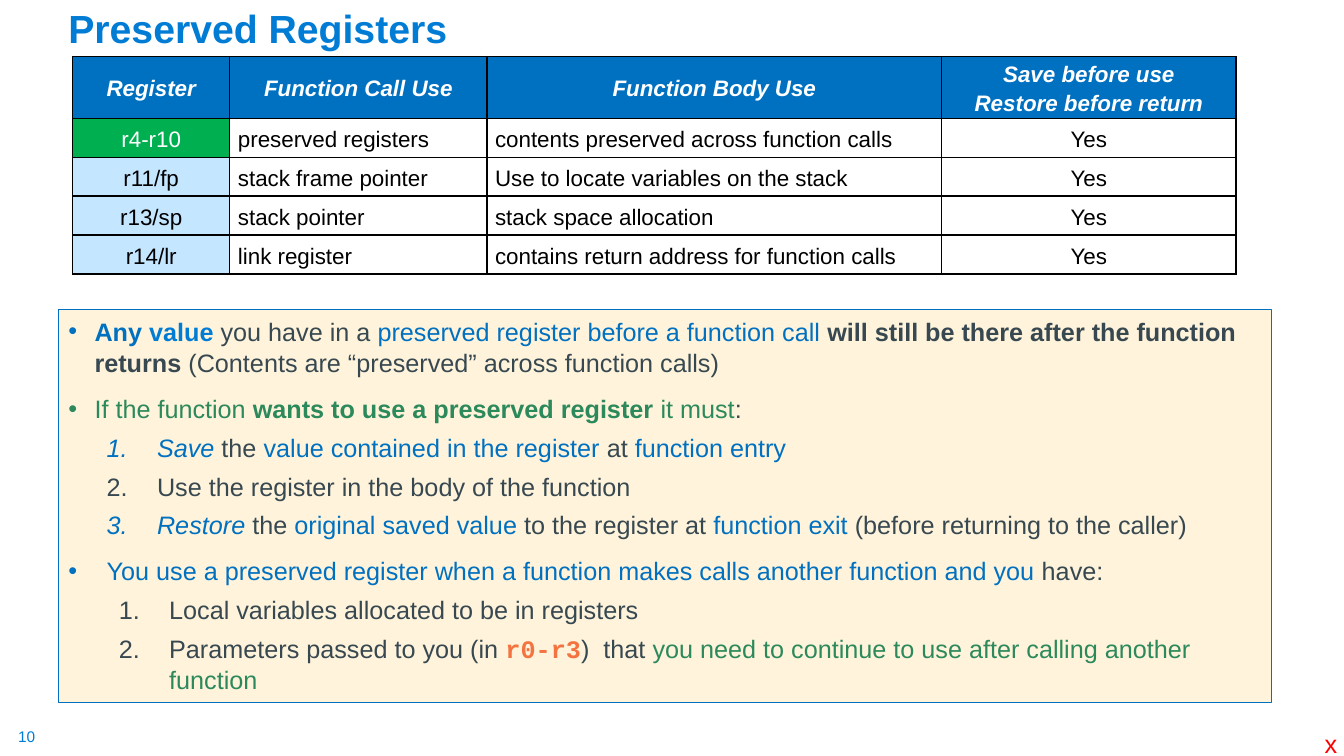
from dataclasses import dataclass

from lxml.etree import SubElement
from pptx import Presentation
from pptx.dml.color import RGBColor
from pptx.enum.shapes import MSO_SHAPE
from pptx.enum.text import MSO_ANCHOR, PP_ALIGN
from pptx.oxml.ns import qn
from pptx.util import Inches, Pt


@dataclass(frozen=True)
class Theme:
    font: str = "Arial"
    code: str = "Courier New"
    sky: str = "007CD5"
    blue: str = "0070C0"
    slate: str = "384851"
    green: str = "2C895B"
    orange: str = "F37440"
    red: str = "FF0000"
    black: str = "000000"
    white: str = "FFFFFF"
    cream: str = "FFF4DB"
    leaf: str = "00B050"
    pale: str = "C4E6FF"
    title: int = 28
    body: int = 18
    cell: int = 16
    page: int = 11


T = Theme()

COLS = [1.56, 2.55, 4.51, 2.92]
HEAD = ["Register", "Function Call Use", "Function Body Use",
        "Save before use\nRestore before return"]
ROWS = [
    ("r4-r10", "preserved registers", "contents preserved across function calls", "Yes"),
    ("r11/fp", "stack frame pointer", "Use to locate variables on the stack", "Yes"),
    ("r13/sp", "stack pointer", "stack space allocation", "Yes"),
    ("r14/lr", "link register", "contains return address for function calls", "Yes"),
]

# Each rule entry: level, left margin, hang, runs of (text, colour, style marks)
RULES = [
    (0, 0.26, 0.26, [
        ("Any ", T.blue, "b"), ("value", T.sky, "b"),
        (" you have in a ", T.slate, ""),
        ("preserved register before a function call ", T.blue, ""),
        ("will still be there after the function returns", T.slate, "b"),
        (" (Contents are “preserved” across function calls)", T.slate, "")]),
    (0, 0.26, 0.26, [
        ("If the function ", T.green, ""),
        ("wants to use a preserved register ", T.green, "b"),
        ("it must", T.green, ""), (":", T.slate, "")]),
    (1, 0.88, 0.5, [
        ("Save", T.blue, "i"), (" the ", T.slate, ""),
        ("value contained in the register ", T.blue, ""),
        ("at ", T.slate, ""), ("function entry", T.blue, "")]),
    (1, 0.88, 0.5, [
        ("Use the register in the body of the function", T.slate, "")]),
    (1, 0.88, 0.5, [
        ("Restore", T.blue, "i"), (" the ", T.slate, ""),
        ("original saved value ", T.blue, ""),
        ("to the register at ", T.slate, ""), ("function exit ", T.blue, ""),
        ("(before returning to the caller)", T.slate, "")]),
    (0, 0.38, 0.38, [
        ("You use a preserved register when a function makes calls "
         "another function and you ", T.blue, ""),
        ("have:", T.slate, "")]),
    (1, 1, 0.5, [("Local variables allocated to be in registers", T.slate, "")]),
    (1, 1, 0.5, [
        ("Parameters passed to you (in ", T.slate, ""),
        ("r0-r3", T.orange, "bc"), (")  that ", T.slate, ""),
        ("you need to continue to use after calling another function", T.green, "")]),
]


def rgb(color):
    return RGBColor.from_string(color)


def add_run(para, text, size, color, marks=""):
    """Marks: b bold, i italic, c code font."""
    run = para.add_run()
    run.text = text
    font = run.font
    font.name = T.code if "c" in marks else T.font
    font.size = Pt(size)
    font.bold = "b" in marks
    font.italic = "i" in marks
    font.color.rgb = rgb(color)


def set_pad(frame, side, top):
    frame.margin_left = frame.margin_right = Inches(side)
    frame.margin_top = frame.margin_bottom = Inches(top)


def add_label(slide, box, text, size, color, marks="", wrap=False):
    frame = slide.shapes.add_textbox(*map(Inches, box)).text_frame
    frame.word_wrap = wrap
    add_run(frame.paragraphs[0], text, size, color, marks)
    return frame


def set_bullet(para, level, left, hang):
    """Dots at level 0, numbers at level 1."""
    props = para._p.get_or_add_pPr()
    props.set("marL", str(Inches(left)))
    props.set("indent", str(-Inches(hang)))
    if level:
        SubElement(props, qn("a:buFont"), typeface="+mj-lt")
        SubElement(props, qn("a:buAutoNum"), type="arabicPeriod")
    else:
        SubElement(props, qn("a:buFont"), typeface=T.font)
        SubElement(props, qn("a:buChar"), char="•")


def add_rules(slide):
    box = map(Inches, (0.58, 3.07, 12.03, 3.9))
    panel = slide.shapes.add_shape(MSO_SHAPE.RECTANGLE, *box)
    panel.shadow.inherit = False
    panel.fill.solid()
    panel.fill.fore_color.rgb = rgb(T.cream)
    panel.line.color.rgb = rgb(T.blue)
    panel.line.width = Pt(0.75)
    frame = panel.text_frame
    frame.word_wrap = True
    frame.vertical_anchor = MSO_ANCHOR.TOP
    for i, (level, left, hang, runs) in enumerate(RULES):
        para = frame.add_paragraph() if i else frame.paragraphs[0]
        para.alignment = PP_ALIGN.LEFT
        para.level = level
        para.line_spacing = 1.05
        para.space_before = Pt(5 if level else 10)
        set_bullet(para, level, left, hang)
        for text, color, marks in runs:
            add_run(para, text, T.body, color, marks)


def set_edges(cell):
    props = cell._tc.get_or_add_tcPr()
    for side in ("lnL", "lnR", "lnT", "lnB"):
        line = SubElement(props, qn(f"a:{side}"), w=str(Pt(1)))
        fill = SubElement(line, qn("a:solidFill"))
        SubElement(fill, qn("a:srgbClr"), val=T.black)


def fill_cell(cell, text, color, fill=None, marks="", center=False):
    set_edges(cell)
    if fill:
        cell.fill.solid()
        cell.fill.fore_color.rgb = rgb(fill)
    else:
        cell.fill.background()
    cell.vertical_anchor = MSO_ANCHOR.MIDDLE
    frame = cell.text_frame
    for i, line in enumerate(text.split("\n")):
        para = frame.add_paragraph() if i else frame.paragraphs[0]
        para.alignment = PP_ALIGN.CENTER if center else PP_ALIGN.LEFT
        para.line_spacing = 1.15
        add_run(para, line, T.cell, color, marks)


def add_grid(slide):
    box = map(Inches, (0.72, 0.56, sum(COLS), 2.13))
    grid = slide.shapes.add_table(len(ROWS) + 1, len(COLS), *box).table
    grid.first_row = grid.horz_banding = False
    for col, width in zip(grid.columns, COLS):
        col.width = Inches(width)
    for i, row in enumerate(grid.rows):
        row.height = Inches(0.38 if i else 0.61)
    for j, text in enumerate(HEAD):
        cell = grid.cell(0, j)
        set_pad(cell, 0, 0)
        fill_cell(cell, text, T.white, T.blue, "bi", True)
    for i, row in enumerate(ROWS, 1):
        for j, text in enumerate(row):
            cell = grid.cell(i, j)
            set_pad(cell, 0.08, 0.04)
            key = j == 0
            first = key and i == 1
            fill = T.leaf if first else T.pale if key else None
            fill_cell(cell, text, T.white if first else T.black, fill,
                      center=j in (0, 3))


def main():
    deck = Presentation()
    deck.slide_width, deck.slide_height = Inches(13.33), Inches(7.5)
    slide = deck.slides.add_slide(deck.slide_layouts[6])
    page = add_label(slide, (0.18, 7.21, 0.19, 0.19), "10", T.page, T.sky)
    set_pad(page, 0, 0)
    add_rules(slide)
    title = add_label(slide, (0.58, 0.07, 13.2, 0.49), "Preserved Registers",
                      T.title, T.sky, "b", True)
    title.vertical_anchor = MSO_ANCHOR.BOTTOM
    title.paragraphs[0].line_spacing = 0.9
    add_label(slide, (13.04, 7.18, 0.33, 0.4), "x", T.body, T.red)
    add_grid(slide)
    deck.save("out.pptx")


if __name__ == "__main__":
    main()
